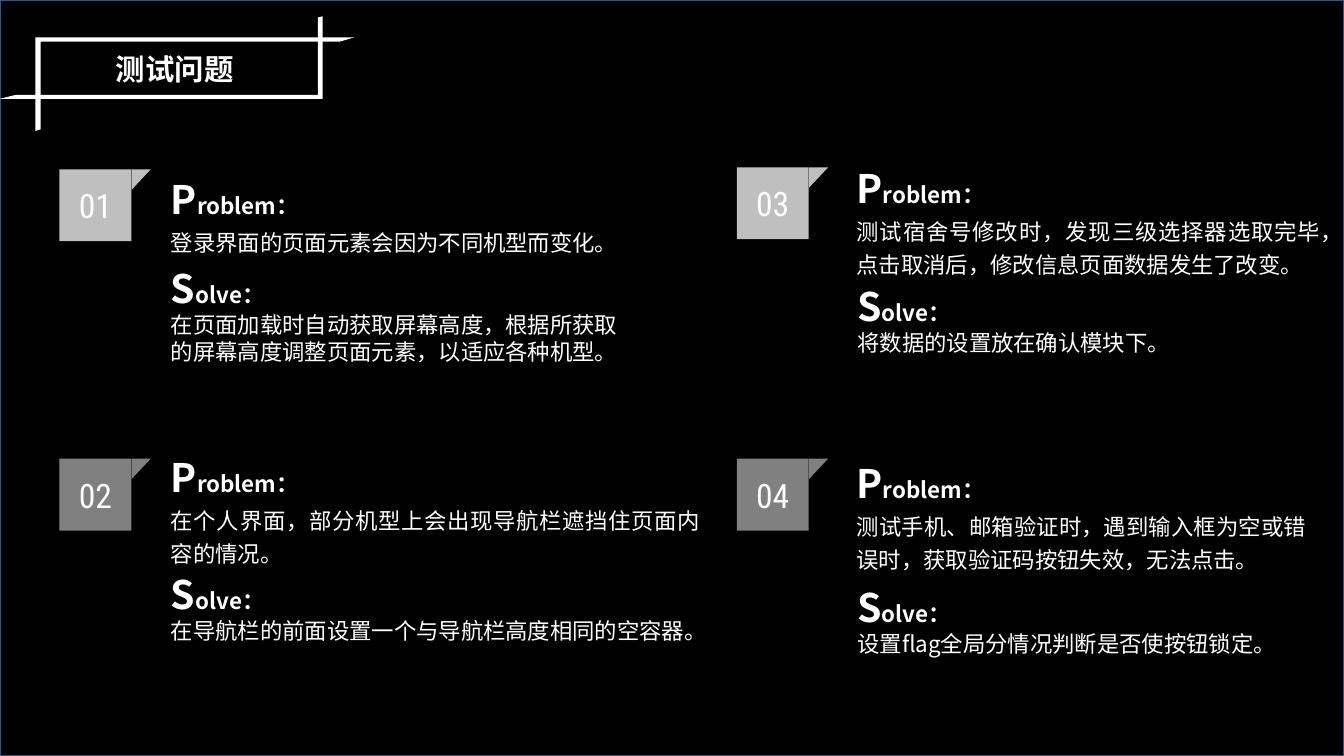
from pptx import Presentation
from pptx import util as u
from pptx.dml import color
from pptx.enum import shapes, text
from pptx.oxml import ns, xmlchemy

SANS, SLIM = "Noto Sans CJK SC", "Roboto Condensed"
WHITE, BLACK, SILVER, GREY = "FFFFFF", "000000", "BFBFBF", "808080"
KIND = shapes.MSO_SHAPE
ALIGN = text.PP_ALIGN


def rgb(code):
    return color.RGBColor.from_string(code)


class Deck:
    """Draws the elements of a slide in one shared style."""

    def __init__(self, wide, high):
        self.prs = Presentation()
        self.prs.slide_width, self.prs.slide_height = u.Cm(wide), u.Cm(high)
        self.slide = self.prs.slides.add_slide(self.prs.slide_layouts[6])

    def shape(self, kind, box, fill, home=None):
        home = home or self.slide.shapes
        item = home.add_shape(kind, *map(u.Cm, box))
        item.shadow.inherit = False
        item.fill.solid()
        item.fill.fore_color.rgb = rgb(fill)
        item.line.fill.background()
        return item

    def style(self, run, size, face=SANS, bold=False):
        font = run.font
        font.size, font.name, font.bold = u.Pt(size), face, bold
        font.color.rgb = rgb(WHITE)
        east = xmlchemy.OxmlElement("a:ea")
        east.set("typeface", face)
        run._r.get_or_add_rPr().find(ns.qn("a:latin")).addnext(east)

    def frame(self, box, turn=0):
        item = self.shape(KIND.HALF_FRAME, box, WHITE)
        item.adjustments[0], item.adjustments[1] = 0.048, 0.057
        item.rotation = turn

    def label(self, box, wrap=True):
        area = self.slide.shapes.add_textbox(*map(u.Cm, box)).text_frame
        area.word_wrap = wrap
        area.auto_size = text.MSO_AUTO_SIZE.SHAPE_TO_FIT_TEXT
        return area

    def title(self, words, box):
        para = self.label(box, False).paragraphs[0]
        para.text = words
        para.alignment = ALIGN.CENTER
        self.style(para.runs[0], 21, SLIM, True)

    def badge(self, left, top, digits, fill):
        group = self.slide.shapes.add_group_shape().shapes
        tile = self.shape(KIND.RECTANGLE, (left, top, 1.81, 1.81), fill, group)
        tile.text_frame.vertical_anchor = text.MSO_ANCHOR.MIDDLE
        para = tile.text_frame.paragraphs[0]
        para.text = digits
        para.alignment = ALIGN.CENTER
        self.style(para.runs[0], 24, SLIM)
        fold = self.shape(KIND.ISOSCELES_TRIANGLE,
                          (left + 1.82, top, 0.48, 0.51), fill, group)
        fold.adjustments[0] = 0
        fold._element.spPr.find(ns.qn("a:xfrm")).set("flipV", "1")

    def note(self, head, body, box, align=None, space=None):
        area = self.label(box)
        first, second = area.paragraphs[0], area.add_paragraph()
        for part, size in ((head[0], 28), (head[1:], 16)):
            run = first.add_run()
            run.text = part
            self.style(run, size, bold=True)
        second.text = body
        self.style(second.runs[0], 16)
        for para in (first, second):
            para.alignment, para.line_spacing = align, space

    def save(self):
        self.prs.save("out.pptx")


ISSUES = [
    ("01", SILVER, (1.5, 4.27),
     "登录界面的页面元素会因为不同机型而变化。", (4.06, 3.99, 12.22, 2.54),
     "在页面加载时自动获取屏幕高度，根据所获取的屏幕高度调整页面元素，以适应各种机型。",
     (4.06, 6.53, 12.22, 2.82)),
    ("02", GREY, (1.5, 11.56),
     "在个人界面，部分机型上会出现导航栏遮挡住页面内容的情况。", (4.06, 11, 13.84, 3.38),
     "在导航栏的前面设置一个与导航栏高度相同的空容器。", (4.06, 14.25, 13.97, 2.13)),
    ("03", SILVER, (18.57, 4.22),
     "测试宿舍号修改时，发现三级选择器选取完毕，点击取消后，修改信息页面数据发生了改变。",
     (21.34, 3.71, 12.22, 3.38),
     "将数据的设置放在确认模块下。", (21.36, 6.99, 11.58, 2.13)),
    ("04", GREY, (18.57, 11.56),
     "测试手机、邮箱验证时，遇到输入框为空或错误时，获取验证码按钮失效，无法点击。",
     (21.34, 11.15, 11.84, 3.38),
     "设置flag全局分情况判断是否使按钮锁定。", (21.36, 14.58, 11.94, 2.13)),
]


def main():
    deck = Deck(33.87, 19.05)
    back = deck.shape(KIND.RECTANGLE, (0, 0, 33.87, 19.05), BLACK)
    back.line.color.rgb = rgb("325491")
    back.line.width = u.Pt(1)
    deck.title("测试问题", (2.64, 1.17, 3.53, 1.14))
    deck.frame((0.89, 0.94, 8.05, 2.36))
    deck.frame((0, 0.41, 8.13, 2.08), 180)
    for digits, fill, spot, fault, upper, cure, lower in ISSUES:
        deck.badge(*spot, digits, fill)
        deck.note("Problem：", fault, upper, ALIGN.JUSTIFY, 1.25)
        deck.note("Solve：", cure, lower)
    deck.save()


if __name__ == "__main__":
    main()
